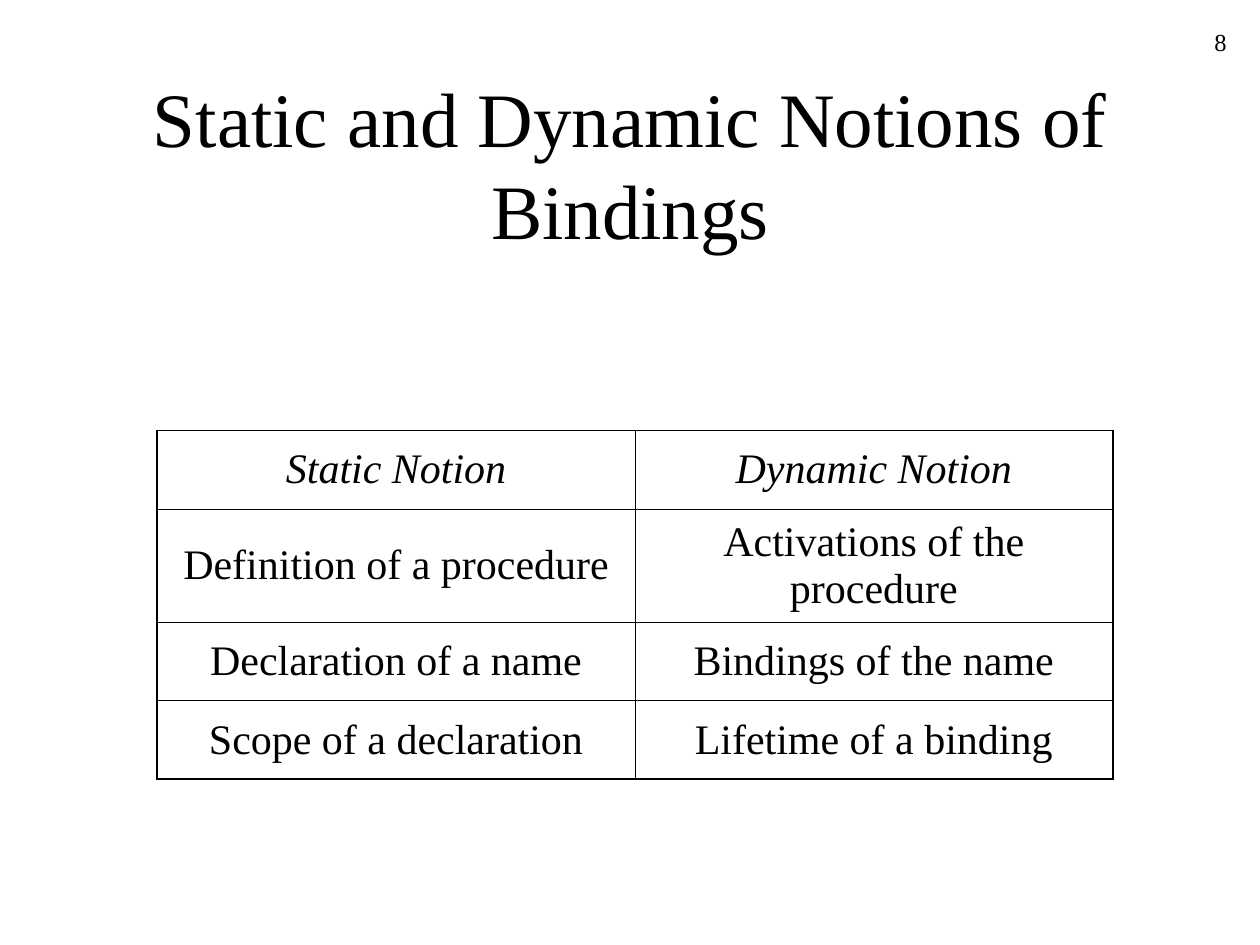
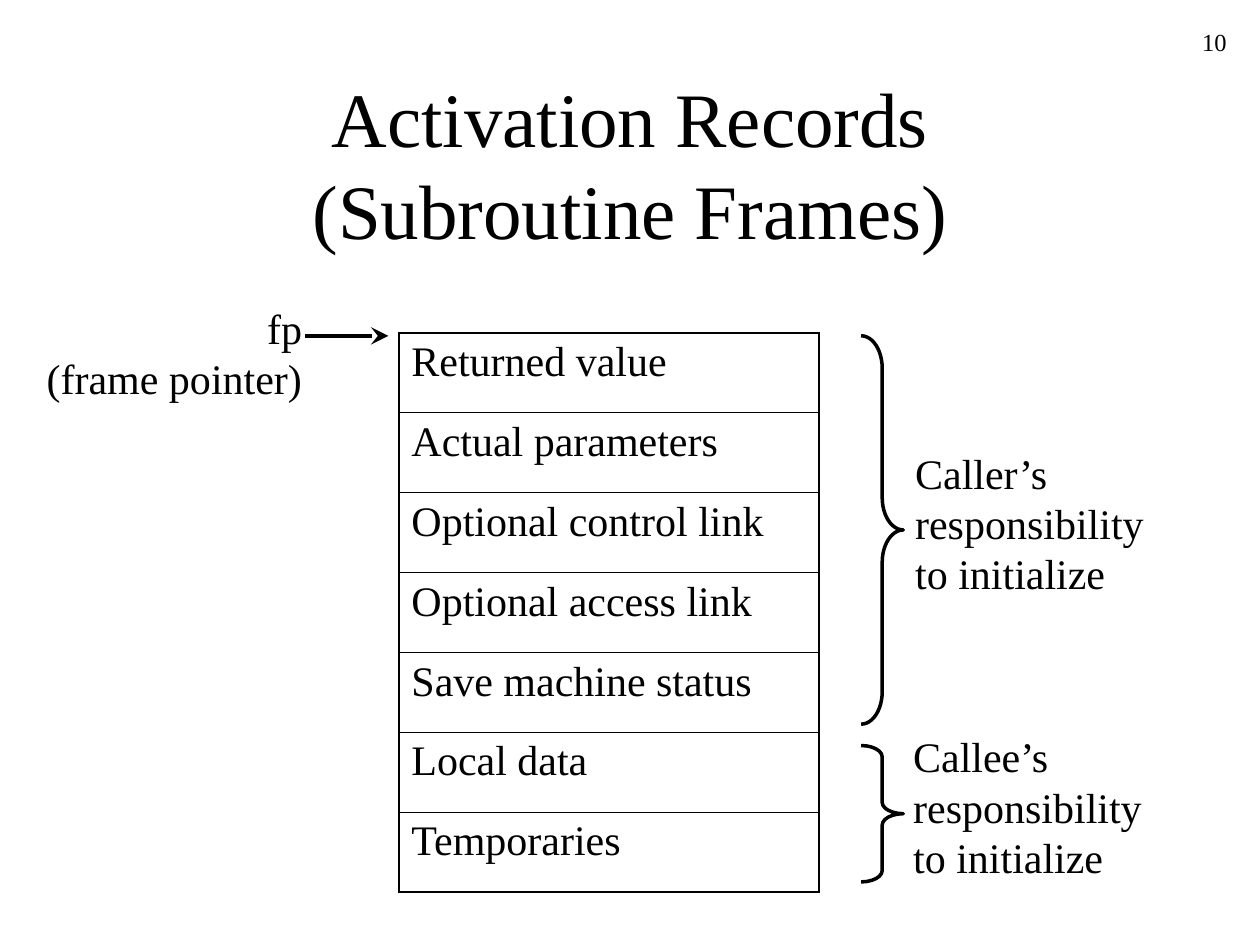
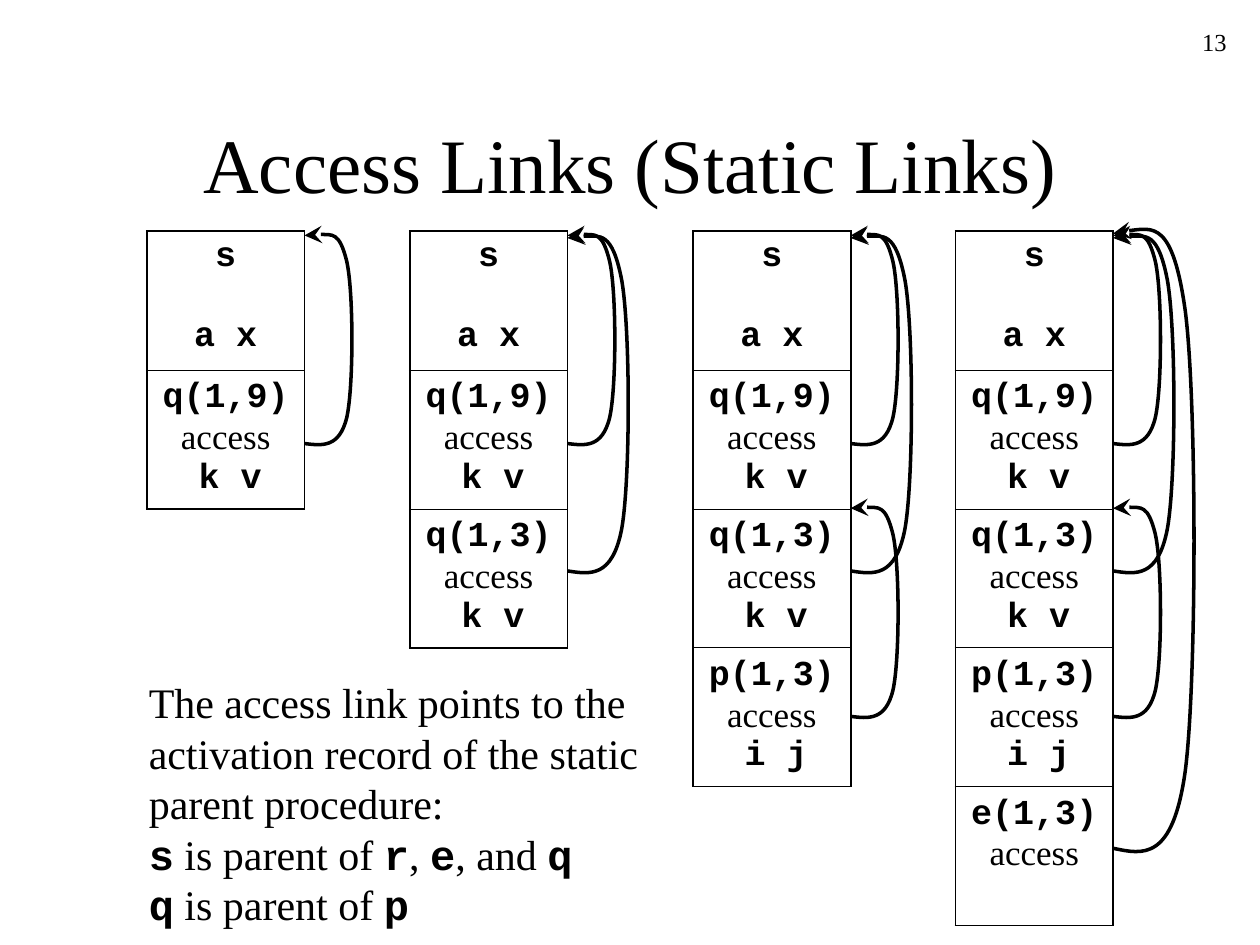
from lxml import etree
from pptx import Presentation
from pptx.dml.color import RGBColor
from pptx.enum import shapes, text
from pptx.oxml.ns import qn
from pptx.util import Cm, Pt

COLORS = {"ink": "000000", "paper": "FFFFFF"}
SERIF, MONO = "Times New Roman", "Courier New"
LEFT, CENTER, RIGHT = text.PP_ALIGN.LEFT, text.PP_ALIGN.CENTER, text.PP_ALIGN.RIGHT
OUTER, INNER, STROKE = Pt(1.08), Pt(0.45), Pt(2)

NOTIONS = [
    ("Static Notion", "Dynamic Notion"),
    ("Definition of a procedure", "Activations of the procedure"),
    ("Declaration of a name", "Bindings of the name"),
    ("Scope of a declaration", "Lifetime of a binding"),
]
FIELDS = ["Returned value", "Actual parameters", "Optional control link",
          "Optional access link", "Save machine status", "Local data", "Temporaries"]

# Each call: cell text, then its access link as (top below the stack's top, width, height)
CALLS = [
    ("`s\n\na x`", None),
    ("`q(1,9)` access\n `k v`", (0, 0.99, 4.37)),
    ("`q(1,3)` access\n `k v`", (0, 1.27, 6.99)),
    ("`p(1,3)` access\n `i j`", (5.5, 0.99, 4.37)),
    ("`e(1,3)` access\n ", (-0.21, 1.69, 12.91)),
]
# Start and Bezier control points of a link, as fractions of its box
LINK_CURVE = [(0, 0.98), (0.36, 0.99), (0.71, 1), (0.86, 0.86), (1, 0.72), (1, 0.28),
              (0.86, 0.14), (0.71, 0), (0.36, 0.01), (0, 0.02)]


def rgb(name):
    return RGBColor.from_string(COLORS[name])


def add_break(p, size, font):
    """Add a line break that has the size and font of its line."""
    p.add_line_break()
    props = etree.SubElement(p._p[-1], qn("a:rPr"), sz=str(size * 100))
    etree.SubElement(props, qn("a:latin"), typeface=font)


def write(p, content, size, align=LEFT, italic=False):
    """Fill a paragraph; text between backquotes is bold code."""
    p.alignment = align
    for i, part in enumerate(content.split("`")):
        font = MONO if i % 2 else SERIF
        for j, line in enumerate(part.split("\n")):
            if j:
                add_break(p, size, font)
            if line:
                r = p.add_run()
                r.text = line
                r.font.name = font
                r.font.bold = bool(i % 2)
                r.font.italic = italic
                r.font.size = Pt(size)
                r.font.color.rgb = rgb("ink")


def add_text(s, box, paragraphs, size=24, align=LEFT, wrap=True):
    tf = s.shapes.add_textbox(*map(Cm, box)).text_frame
    tf.word_wrap = wrap
    if not wrap:
        tf.auto_size = text.MSO_AUTO_SIZE.SHAPE_TO_FIT_TEXT
    for i, content in enumerate(paragraphs):
        write(tf.add_paragraph() if i else tf.paragraphs[0], content, size, align)


def add_slide(prs, title, number):
    s = prs.slides.add_slide(prs.slide_layouts[5])
    s.background.fill.solid()
    s.background.fill.fore_color.rgb = rgb("paper")
    sp = s.shapes.title
    sp.left, sp.top, sp.width, sp.height = map(Cm, (1.91, 1.69, 21.59, 3.18))
    tf = sp.text_frame
    tf.word_wrap = True
    tf.auto_size = text.MSO_AUTO_SIZE.NONE
    tf.vertical_anchor = text.MSO_ANCHOR.MIDDLE
    write(tf.paragraphs[0], title, 44, CENTER)
    add_text(s, (19.69, 0.42, 5.29, 1.27), [str(number)], 14, RIGHT)
    return s


def set_borders(cell, widths):
    tc_pr = cell._tc.get_or_add_tcPr()
    for side, width in zip("LRTB", widths):
        ln = etree.SubElement(tc_pr, qn(f"a:ln{side}"), w=str(width))
        fill = etree.SubElement(ln, qn("a:solidFill"))
        etree.SubElement(fill, qn("a:srgbClr"), val=COLORS["ink"])


def add_grid(s, left, top, col_width, heights, rows, size=24, align=LEFT,
             anchor=text.MSO_ANCHOR.TOP, italic_head=False):
    """Add an unfilled table with thin inner rules and a heavier outline."""
    n_rows, n_cols = len(rows), len(rows[0])
    tbl = s.shapes.add_table(n_rows, n_cols, Cm(left), Cm(top),
                             Cm(col_width * n_cols), Cm(sum(heights))).table
    tbl.first_row = tbl.horz_banding = False
    for col in tbl.columns:
        col.width = Cm(col_width)
    for i, row in enumerate(rows):
        tbl.rows[i].height = Cm(heights[i])
        for j, content in enumerate(row):
            cell = tbl.cell(i, j)
            edges = (j == 0, j == n_cols - 1, i == 0, i == n_rows - 1)
            set_borders(cell, [OUTER if edge else INNER for edge in edges])
            cell.fill.background()
            cell.vertical_anchor = anchor
            write(cell.text_frame.paragraphs[0], content, size, align,
                  italic_head and i == 0)


def style_line(sp, arrow=False):
    sp.line.color.rgb = rgb("ink")
    sp.line.width = STROKE
    if arrow:
        etree.SubElement(sp.line._get_or_add_ln(), qn("a:tailEnd"),
                         type="stealth", w="lg", len="lg")


def add_brace(s, left, top, height, width=0.85):
    sp = s.shapes.add_shape(shapes.MSO_SHAPE.RIGHT_BRACE,
                            *map(Cm, (left, top, width, height)))
    sp.adjustments[0] = height / 12 / width
    sp.shadow.inherit = False
    sp.fill.background()
    style_line(sp)


def add_arrow(s, x1, y1, x2, y2):
    cx = s.shapes.add_connector(shapes.MSO_CONNECTOR.STRAIGHT,
                                *map(Cm, (x1, y1, x2, y2)))
    style_line(cx, arrow=True)
    etree.SubElement(cx._element.spPr, qn("a:effectLst"))


def add_link(s, left, top, width, height):
    """Add a curved arrow that leaves and returns on the left side of its box."""
    points = [(Cm(left + x * width), Cm(top + y * height)) for x, y in LINK_CURVE]
    builder = s.shapes.build_freeform(*points[0])
    builder.add_line_segments(points[1:], close=False)
    sp = builder.convert_to_shape()
    segments = list(sp._element.iter(qn("a:lnTo")))
    outline = segments[0].getparent()
    for i in range(0, len(segments), 3):
        curve = etree.SubElement(outline, qn("a:cubicBezTo"))
        for segment in segments[i:i + 3]:
            curve.append(segment[0])
            outline.remove(segment)
    sp.shadow.inherit = False
    sp.fill.background()
    style_line(sp, arrow=True)


def add_stack(s, left, top, calls, width=3.18, row_height=2.8):
    add_grid(s, left, top, width, [row_height] * len(calls),
             [[content] for content, _ in calls], 20, CENTER)
    for _, link in calls:
        if link:
            drop, link_width, link_height = link
            add_link(s, left + width, top + drop, link_width, link_height)


def notions_slide(prs):
    s = add_slide(prs, "Static and Dynamic Notions of Bindings", 8)
    add_grid(s, 3.17, 8.68, 9.63, [1.58, 2.28, 1.58, 1.58], NOTIONS, align=CENTER,
             anchor=text.MSO_ANCHOR.MIDDLE, italic_head=True)


def records_slide(prs):
    s = add_slide(prs, "Activation Records\n(Subroutine Frames)", 10)
    add_grid(s, 8.04, 6.71, 8.47, [1.61] * len(FIELDS), [[f] for f in FIELDS])
    for owner, brace_top, brace_height, left, top in [
            ("Caller’s", 6.77, 7.83, 18.2, 8.89), ("Callee’s", 15.03, 2.75, 18.16, 14.61)]:
        add_brace(s, 17.36, brace_top, brace_height)
        add_text(s, (left, top, 5.2, 3.3), [f"{owner}\nresponsibility\nto initialize"],
                 wrap=False)
    add_text(s, (0.6, 5.97, 5.74, 2.28), ["fp\n(frame pointer)"], align=RIGHT, wrap=False)
    add_arrow(s, 6.15, 6.77, 7.83, 6.77)


def links_slide(prs):
    s = add_slide(prs, "Access Links (Static Links)", 13)
    for depth, left in enumerate((2.96, 8.26, 13.97, 19.26), start=2):
        add_stack(s, left, 4.66, CALLS[:depth])
    add_text(s, (2.75, 13.52, 11.01, 5.33), [
        "The access link points to the activation record of the static parent procedure:",
        "`s` is parent of `r`, `e`, and `q\nq` is parent of `p`"])


def main():
    prs = Presentation()
    prs.slide_width, prs.slide_height = Cm(25.4), Cm(19.05)
    notions_slide(prs)
    records_slide(prs)
    links_slide(prs)
    prs.save("out.pptx")


if __name__ == "__main__":
    main()
